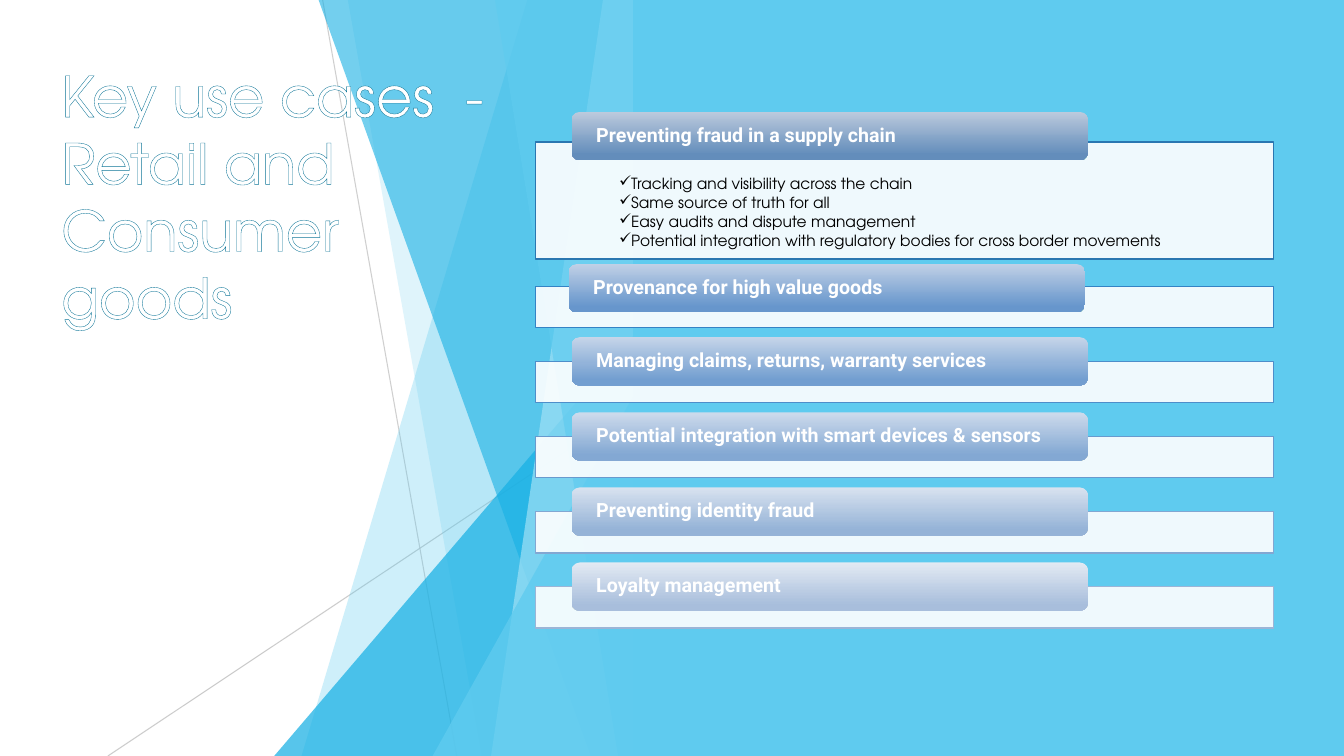
import pptx
import pptx.dml.color
import pptx.enum.shapes
import pptx.enum.text
import pptx.oxml
import pptx.oxml.ns
import pptx.util
from pptx.util import Inches

SHAPES = pptx.enum.shapes.MSO_SHAPE
ANCHOR = pptx.enum.text.MSO_ANCHOR
ALIGN = pptx.enum.text.PP_ALIGN


def color(value):
    return pptx.dml.color.RGBColor.from_string(value)


class SlideBuilder:
    """Holds the style and the current slide."""

    display_font = "TeX Gyre Adventor"
    label_font = "Roboto"
    white = "FFFFFF"
    sky = "5FCBEF"

    def __init__(self, page):
        self.page = page

    def child(self, parent, tag, **attributes):
        element = pptx.oxml.parse_xml(f"<a:{tag} {pptx.oxml.ns.nsdecls('a')}/>")
        for name, value in attributes.items():
            element.set(name, str(value))
        parent.append(element)
        return element

    def set_opacity(self, shape, percent):
        tint = next(shape.element.iter(pptx.oxml.ns.qn("a:srgbClr")))
        self.child(tint, "alpha", val=percent * 1000)

    def paint(self, shape, fill, opacity=100):
        shape.shadow.inherit = False
        shape.fill.solid()
        shape.fill.fore_color.rgb = color(fill)
        if opacity < 100:
            self.set_opacity(shape, opacity)
        shape.line.fill.background()
        return shape

    def preset(self, kind, left, top, width, height, fill, opacity=100):
        shape = self.page.shapes.add_shape(
            kind, Inches(left), Inches(top), Inches(width), Inches(height))
        return self.paint(shape, fill, opacity)

    def polygon(self, points, fill, opacity):
        corners = [(Inches(x), Inches(y)) for x, y in points]
        builder = self.page.shapes.build_freeform(*corners[0])
        builder.add_line_segments(corners[1:], close=True)
        return self.paint(builder.convert_to_shape(), fill, opacity)

    def hairline(self, start, end, stroke, opacity):
        line = self.page.shapes.add_connector(
            pptx.enum.shapes.MSO_CONNECTOR.STRAIGHT, *map(Inches, start + end))
        line.line.color.rgb = color(stroke)
        line.line.width = pptx.util.Pt(0.75)
        self.set_opacity(line, opacity)
        self.child(line.element.spPr, "effectLst")

    def frame(self, shape, anchor, left=0.1, top=0.05, right=0.1, bottom=0.05):
        frame = shape.text_frame
        frame.word_wrap = True
        frame.vertical_anchor = anchor
        frame.margin_left, frame.margin_top = Inches(left), Inches(top)
        frame.margin_right, frame.margin_bottom = Inches(right), Inches(bottom)
        return frame

    def style(self, font, name, size, ink, bold=False):
        font.name, font.size, font.bold = name, pptx.util.Pt(size), bold
        font.color.rgb = color(ink)

    def title(self, text, left, top, width, height, outline):
        box = self.page.shapes.add_textbox(
            Inches(left), Inches(top), Inches(width), Inches(height))
        span = self.frame(box, ANCHOR.MIDDLE).paragraphs[0].add_run()
        span.text = text
        self.style(span.font, self.display_font, 40, self.white)
        # The outline has to precede the fill in the run properties
        properties = span.font.fill._xPr
        stroke = self.child(properties, "ln", w=pptx.util.Pt(1.5))
        self.child(self.child(stroke, "solidFill"), "srgbClr", val=outline)
        properties.insert(0, stroke)

    def panel(self, left, top, width, height, stroke):
        panel = self.preset(SHAPES.RECTANGLE, left, top, width, height, self.white, 90)
        panel.line.color.rgb = color(stroke)
        panel.line.width = pptx.util.Pt(1)
        return panel

    def checklist(self, shape, items):
        frame = self.frame(shape, ANCHOR.TOP, 0.83, 0.34, 0.57, 0.09)
        for index, item in enumerate(items):
            para = frame.add_paragraph() if index else frame.paragraphs[0]
            para.text = item
            para.alignment = ALIGN.LEFT
            para.line_spacing = 0.9
            para.space_after = pptx.util.Pt(1.65)
            self.style(para.font, self.display_font, 11, "000000")
            properties = para._p.get_or_add_pPr()
            properties.set("marL", str(Inches(0.06)))
            properties.set("indent", str(Inches(-0.06)))
            bullet = self.child(properties, "buChar", char="✓")
            properties.find(pptx.oxml.ns.qn("a:defRPr")).addprevious(bullet)

    def tab(self, text, left, top, upper, lower):
        tab = self.preset(SHAPES.ROUNDED_RECTANGLE, left, top, 5.12, 0.48, lower)
        tab.fill.gradient()
        tab.fill.gradient_angle = 270
        for stop, tint, position in zip(tab.fill.gradient_stops, (upper, lower), (0, 0.88)):
            stop.color.rgb = color(tint)
            stop.position = position
        para = self.frame(tab, ANCHOR.MIDDLE, 0.22, 0, 0.21, 0).paragraphs[0]
        para.text = text
        para.alignment = ALIGN.LEFT
        para.line_spacing = 0.9
        self.style(para.font, self.label_font, 14, self.white, bold=True)


WIDTH, HEIGHT = 13.33, 7.5
EDGE = 6.28  # where the facets meet the solid area

# Facets reach from a slanted left side to EDGE: top x, bottom x, fill, opacity
# Shards are right triangles ending at EDGE: left, top, fill, opacity
BACKDROP = [
    ("facet", 5.23, 2.99, "5FCBEF", 30),
    ("facet", 3.45, 4.78, "5FCBEF", 20),
    ("shard", 2.72, 3.33, "17B0E4", 72),
    ("facet", 3.16, 5.86, "17B0E4", 60),
    ("facet", 5.98, 4.87, "9FE0F5", 70),
    ("facet", 4.91, 6.13, "5FCBEF", 65),
    ("shard", 4.29, 3.93, "5FCBEF", 80),
]

# Label, panel outline, gradient top, gradient bottom, tab left, tab rise
USE_CASES = [
    ("Preventing fraud in a supply chain", "2A77B1", "BCCADD", "638DBB", 5.67, 0.3),
    ("Provenance for high value goods", "3483C5", "C0D0E6", "6796CC", 5.64, 0.22),
    ("Managing claims, returns, warranty services", "4D8ECA", "C6D5E9", "729ED0", 5.67, 0.24),
    ("Potential integration with smart devices & sensors", "689ACE", "CEDBEC", "83A8D3", 5.67, 0.24),
    ("Preventing identity fraud", "82A7D2", "D8E2EF", "95B3D7", 5.67, 0.24),
    ("Loyalty management", "9BB5D7", "E3EAF3", "A8BEDC", 5.67, 0.24),
]
FRAUD_BENEFITS = [
    "Tracking and visibility across the chain",
    "Same source of truth for all",
    "Easy audits and dispute management",
    "Potential integration with regulatory bodies for cross border movements",
]
FIRST_TOP, SECOND_TOP, LAST_TOP = 1.41, 2.84, 5.82


def main():
    deck = pptx.Presentation()
    deck.slide_width, deck.slide_height = Inches(WIDTH), Inches(HEIGHT)
    slide = SlideBuilder(deck.slides.add_slide(deck.slide_layouts[6]))

    # Faceted backdrop
    slide.hairline((3.2, 0), (4.53, HEIGHT), "BFBFBF", 75)
    slide.hairline((EDGE, 4.03), (1.07, HEIGHT), "BFBFBF", 80)
    for kind, first, second, fill, opacity in BACKDROP:
        if kind == "facet":
            corners = [(first, 0), (EDGE, 0), (EDGE, HEIGHT), (second, HEIGHT)]
            slide.polygon(corners, fill, opacity)
        else:
            shard = slide.preset(SHAPES.ISOSCELES_TRIANGLE, first, second,
                                 EDGE - first, HEIGHT - second, fill, opacity)
            shard.adjustments[0] = 1
    slide.preset(SHAPES.RECTANGLE, EDGE, 0, WIDTH - EDGE, HEIGHT, slide.sky)

    # Title
    slide.title("Key use cases  - Retail and Consumer goods", 0.51, 0.22, 4.78, 3.44, "0F7698")

    # Use cases: one open panel, then evenly spaced closed ones
    step = (LAST_TOP - SECOND_TOP) / (len(USE_CASES) - 2)
    for index, (label, stroke, upper, lower, tab_left, rise) in enumerate(USE_CASES):
        top = SECOND_TOP + (index - 1) * step if index else FIRST_TOP
        panel = slide.panel(5.31, top, 7.32, 0.41 if index else 1.16, stroke)
        if index == 0:
            slide.checklist(panel, FRAUD_BENEFITS)
        slide.tab(label, tab_left, top - rise, upper, lower)

    deck.save("out.pptx")


if __name__ == "__main__":
    main()
